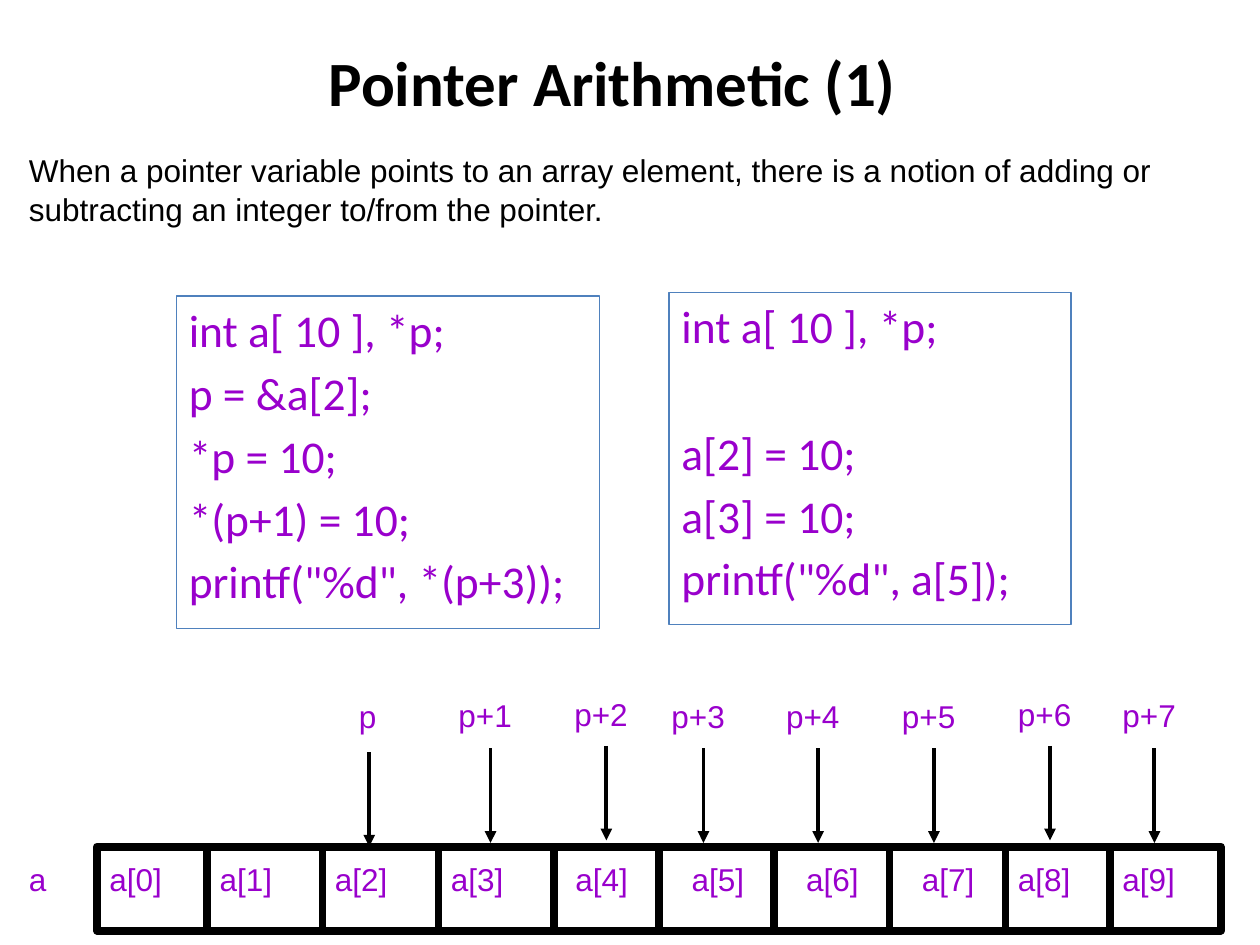
from dataclasses import dataclass

from lxml import etree
from pptx import Presentation
from pptx.dml.color import RGBColor
from pptx.enum.shapes import MSO_CONNECTOR, MSO_SHAPE
from pptx.enum.text import MSO_ANCHOR, PP_ALIGN
from pptx.oxml.ns import qn
from pptx.util import Pt

RECT = MSO_SHAPE.RECTANGLE
STRAIGHT = MSO_CONNECTOR.STRAIGHT
TOP, MIDDLE = MSO_ANCHOR.TOP, MSO_ANCHOR.MIDDLE
LEFT, CENTER = PP_ALIGN.LEFT, PP_ALIGN.CENTER

BLACK = RGBColor(0x00, 0x00, 0x00)
PURPLE = RGBColor(0x99, 0x00, 0xCC)
BLUE = RGBColor(0x4F, 0x81, 0xBD)

ARRAY_LEFT, ARRAY_TOP, ARRAY_WIDTH, ARRAY_HEIGHT = 55.4, 483.8, 642.2, 48
ARRAY_LINE = 4.5
CELL_TEXT_TOP = 486.7
LABEL_HEIGHT = 36
ARROW_LENGTH = 54
LINE_GAP = 4.7
CODE_PITCH = 36.4


@dataclass(frozen=True)
class CodeBox:
    left: float
    top: float
    width: float
    lines: tuple[str, ...]


@dataclass(frozen=True)
class Cell:
    left: float
    text_left: float


@dataclass(frozen=True)
class Pointer:
    left: float
    top: float
    arrow_top: float
    arrow_offset: float = 25.4


CODE_BOXES = [
    CodeBox(100.8, 169.2, 241.9, (
        "int a[ 10 ], *p;", "p = &a[2];", "*p = 10;",
        "*(p+1) = 10;", 'printf("%d", *(p+3));')),
    CodeBox(382.3, 167, 229.7, (
        "int a[ 10 ], *p;", "", "a[2] = 10;",
        "a[3] = 10;", 'printf("%d", a[5]);')),
]
CELLS = [
    Cell(ARRAY_LEFT, 55.4), Cell(118.4, 118.4), Cell(184.3, 184.3),
    Cell(250.6, 250.6), Cell(316.4, 321.8), Cell(376.6, 388.1),
    Cell(442.4, 453.6), Cell(508.3, 519.8), Cell(574.6, 574.6),
    Cell(634.3, 634.3),
]
POINTERS = [
    Pointer(198, 393.8, 429.8, 13), Pointer(254.9, 393.1, 427.7),
    Pointer(321.1, 392.4, 426.2), Pointer(376.6, 393.8, 427.7),
    Pointer(442.1, 393.8, 427.7), Pointer(508.3, 393.8, 427.7),
    Pointer(574.6, 392.4, 426.2), Pointer(634.3, 393.1, 427.7),
]


def style(p, size: float, font: str, color: RGBColor, bold: bool = False) -> None:
    for r in p.runs:
        r.font.size = Pt(size)
        r.font.name = font
        r.font.bold = bold
        r.font.color.rgb = color


def add_text(s, text: str, left: float, top: float, width: float, height: float,
             color: RGBColor = PURPLE):
    sp = s.shapes.add_textbox(Pt(left), Pt(top), Pt(width), Pt(height))
    tf = sp.text_frame
    tf.word_wrap = True
    tf.text = text
    p = tf.paragraphs[0]
    p.line_spacing = 1.05
    style(p, 18, "Arial", color)
    return sp


def add_title(s, text: str) -> None:
    sp = add_text(s, text, 10.1, 20.9, 679.7, 51.1, BLACK)
    tf = sp.text_frame
    tf.vertical_anchor = MIDDLE
    p = tf.paragraphs[0]
    p.alignment = CENTER
    p.line_spacing = 1.0
    style(p, 36, "Calibri", BLACK, True)


def add_frame(s, left: float, top: float, width: float, height: float,
              color: RGBColor, weight: float):
    sp = s.shapes.add_shape(RECT, Pt(left), Pt(top), Pt(width), Pt(height))
    sp.shadow.inherit = False
    sp.fill.background()
    sp.line.color.rgb = color
    sp.line.width = Pt(weight)
    return sp


def add_code(s, box: CodeBox) -> None:
    sp = add_frame(s, box.left, box.top, box.width, 190.1, BLUE, 0.75)
    tf = sp.text_frame
    tf.word_wrap = True
    tf.vertical_anchor = TOP
    gap = LINE_GAP
    p = tf.paragraphs[0]
    for line in box.lines:
        if not line:
            gap += CODE_PITCH
            continue
        if p.text:
            p = tf.add_paragraph()
        p.text = line
        p.alignment = LEFT
        p.space_before = Pt(gap)
        style(p, 26, "Calibri", PURPLE)
        gap = LINE_GAP


def add_vertical(s, x: float, top: float, length: float, weight: float,
                 arrow: bool = False) -> None:
    c = s.shapes.add_connector(STRAIGHT, Pt(x), Pt(top), Pt(x), Pt(top + length))
    c.line.color.rgb = BLACK
    c.line.width = Pt(weight)
    if arrow:
        etree.SubElement(c.line._get_or_add_ln(), qn("a:tailEnd"), type="triangle")
    etree.SubElement(c._element.spPr, qn("a:effectLst"))


prs = Presentation()
prs.slide_width, prs.slide_height = Pt(720), Pt(540)
s = prs.slides.add_slide(prs.slide_layouts[6])

add_title(s, "Pointer Arithmetic (1)")
for box in CODE_BOXES:
    add_code(s, box)

add_frame(s, ARRAY_LEFT, ARRAY_TOP, ARRAY_WIDTH, ARRAY_HEIGHT, BLACK, ARRAY_LINE)
for cell in CELLS[1:]:
    add_vertical(s, cell.left, ARRAY_TOP, ARRAY_HEIGHT, ARRAY_LINE)

add_text(s, "a", 9.4, CELL_TEXT_TOP, 27.4, LABEL_HEIGHT)
for i, cell in enumerate(CELLS):
    add_text(s, f"a[{i}]", cell.text_left, CELL_TEXT_TOP, 57.6, LABEL_HEIGHT)

for i, pointer in enumerate(POINTERS):
    add_text(s, f"p+{i}" if i else "p", pointer.left, pointer.top,
             62.6 if i else 28.8, LABEL_HEIGHT)
    add_vertical(s, pointer.left + pointer.arrow_offset, pointer.arrow_top,
                 ARROW_LENGTH, 2.25, True)

add_text(s, "When a pointer variable points to an array element, there is a notion "
            "of adding or subtracting an integer to/from the pointer.",
         9.4, 81.4, 686.9, 51.1, BLACK)

prs.save("out.pptx")
